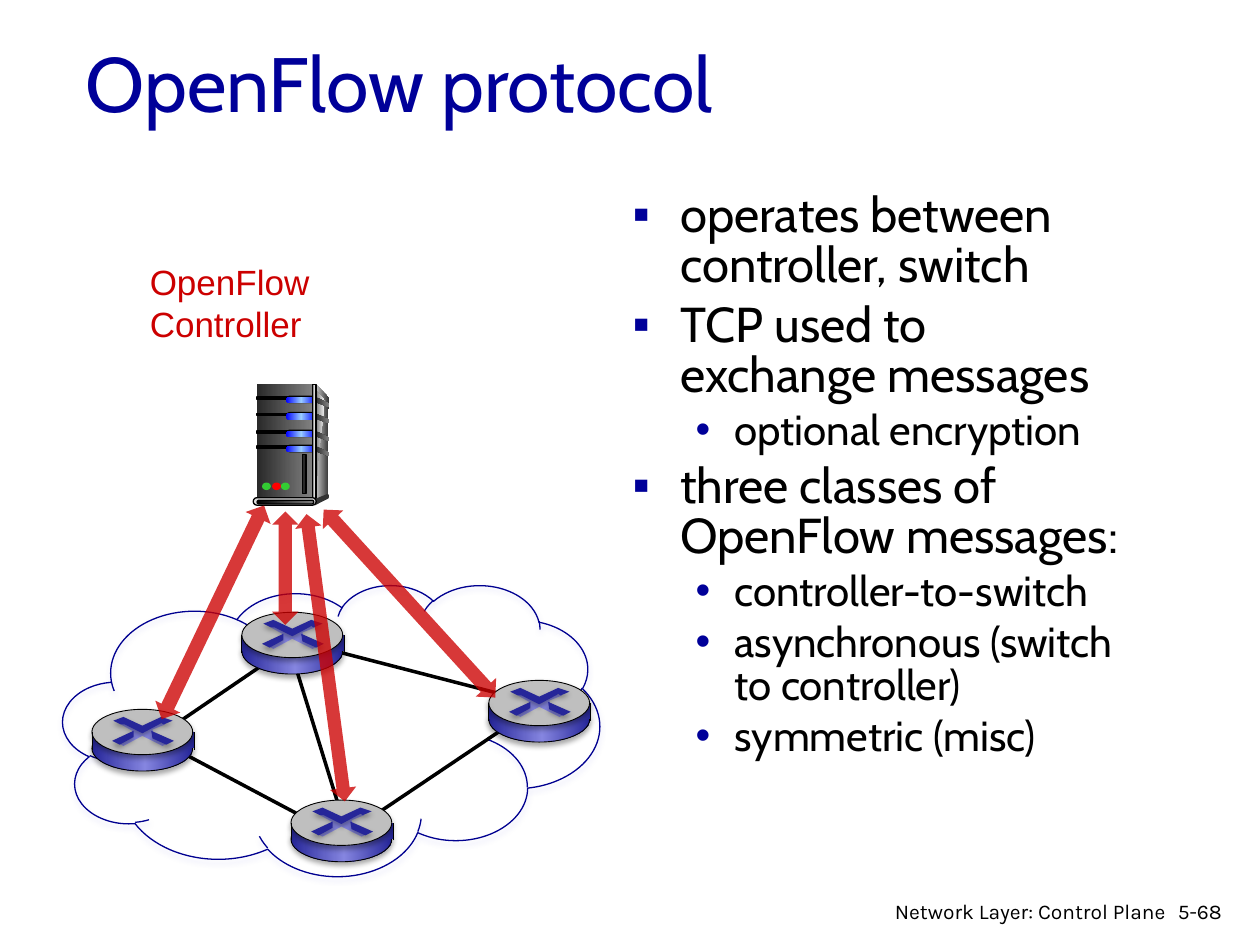
"""Build the OpenFlow protocol slide: a bullet list beside a controller and its network of routers."""
import lxml.etree
import pptx
import pptx.dml.color
import pptx.enum.shapes
import pptx.enum.text
import pptx.oxml.ns
import pptx.util

Inches = pptx.util.Inches
Pt = pptx.util.Pt
qn = pptx.oxml.ns.qn
SHAPE = pptx.enum.shapes.MSO_SHAPE
ALIGN = pptx.enum.text.PP_ALIGN

COLORS = {
    "title": "000099", "black": "000000", "label": "CC0000", "cloud": "000090",
    "cloud_shadow": "A5A5E9", "router": "262699", "router_light": "8585E0", "router_top": "BFBFBF",
    "charcoal": "292929", "dark": "333333", "gray": "808080", "silver": "DDDDDD", "pale": "F8F8F8",
    "blue": "0000FF", "sky": "99CCFF", "green": "33CC33", "red": "FF0000",
}
METAL = [(0, "charcoal"), (100, "gray")]
GLOW = [(0, "blue"), (50, "sky"), (100, "blue")]
ROUTER_SIDE = [(0, "router"), (53, "router_light"), (100, "router")]

presentation = pptx.Presentation()
presentation.slide_width, presentation.slide_height = Inches(10), Inches(7.5)
slide = presentation.slides.add_slide(presentation.slide_layouts[1])


def draw(kind, geometry, fill=None, line=None, width=0.75, shadow=None):
    """Draw a preset shape, a "line" or a "free" outline, with its fill, line and shadow."""
    if kind == "free":
        points = [(Inches(x), Inches(y)) for x, y in geometry]
        builder = slide.shapes.build_freeform(*points[0])
        builder.add_line_segments(points[1:], close=True)
        shape = builder.convert_to_shape()
    elif kind == "line":
        straight = pptx.enum.shapes.MSO_CONNECTOR.STRAIGHT
        shape = slide.shapes.add_connector(straight, *map(Inches, geometry))
    else:
        shape = slide.shapes.add_shape(kind, *map(Inches, geometry))
    properties = shape._element.spPr
    if kind != "line":
        if fill is None:
            shape.fill.background()
        elif isinstance(fill, str):
            shape.fill.solid()
            shape.fill.fore_color.rgb = pptx.dml.color.RGBColor.from_string(COLORS[fill])
        else:
            shape.fill.gradient()
            shape.fill.gradient_angle = 0
            stops = properties.find(qn("a:gradFill")).find(qn("a:gsLst"))
            for stop in list(stops):
                stops.remove(stop)
            for position, color in fill:
                stop = lxml.etree.SubElement(stops, qn("a:gs"), pos=str(position * 1000))
                lxml.etree.SubElement(stop, qn("a:srgbClr"), val=COLORS[color])
    if line:
        shape.line.color.rgb = pptx.dml.color.RGBColor.from_string(COLORS[line])
        shape.line.width = Pt(width)
    else:
        shape.line.fill.background()
    effects = lxml.etree.SubElement(properties, qn("a:effectLst"))
    if shadow:
        outer = lxml.etree.SubElement(
            effects, qn("a:outerShdw"), blurRad=str(Pt(3.1)), dist=str(Pt(1.8)),
            dir="5400000", rotWithShape="0")
        color = lxml.etree.SubElement(outer, qn("a:srgbClr"), val=COLORS[shadow])
        lxml.etree.SubElement(color, qn("a:alpha"), val="35000")
    return shape


def write(paragraph, text, size, font, color):
    """Add one formatted run to a paragraph."""
    run = paragraph.add_run()
    run.text = text
    run.font.size = Pt(size)
    run.font.name = font
    run.font.color.rgb = pptx.dml.color.RGBColor.from_string(COLORS[color])


title = slide.shapes.title
body = slide.placeholders[1]
for placeholder, box in [(title, (0.58, 0.02, 8.5, 1.25)), (body, (4.92, 1.48, 4.17, 5.08))]:
    placeholder.left, placeholder.top, placeholder.width, placeholder.height = map(Inches, box)
    placeholder.text_frame.auto_size = pptx.enum.text.MSO_AUTO_SIZE.NONE
title.text_frame.vertical_anchor = pptx.enum.text.MSO_ANCHOR.MIDDLE
title.text_frame.paragraphs[0].alignment = ALIGN.LEFT
write(title.text_frame.paragraphs[0], "OpenFlow protocol", 44, "Cabin", "title")

LEVELS = [("▪", 28, 0.38, 0.38), ("•", 24, 0.81, 0.31)]
items = [
    (0, "operates between controller, switch"),
    (0, "TCP used to exchange messages"),
    (1, "optional encryption"),
    (0, "three classes of OpenFlow messages:"),
    (1, "controller-to-switch"),
    (1, "asynchronous (switch to controller)"),
    (1, "symmetric (misc)"),
]
for index, (level, text) in enumerate(items):
    bullet, size, margin, hanging = LEVELS[level]
    paragraph = body.text_frame.add_paragraph() if index else body.text_frame.paragraphs[0]
    paragraph.level = level
    settings = paragraph._p.get_or_add_pPr()
    settings.set("marL", str(Inches(margin)))
    settings.set("indent", str(-Inches(hanging)))
    bullet_color = lxml.etree.SubElement(settings, qn("a:buClr"))
    lxml.etree.SubElement(bullet_color, qn("a:srgbClr"), val=COLORS["title"])
    lxml.etree.SubElement(settings, qn("a:buFont"), typeface="Arial")
    lxml.etree.SubElement(settings, qn("a:buChar"), char=bullet)
    paragraph.line_spacing = 0.85
    paragraph.space_before = Pt(0.2 * size if index else 0)
    write(paragraph, text, size, "Cabin", "black")

draw(SHAPE.CLOUD, (0.5, 4.64, 4.26, 2.31), line="cloud", shadow="cloud_shadow")
for link in [(1.23, 5.86, 2.55, 4.96), (1.23, 5.86, 2.55, 6.56), (2.33, 5.24, 2.68, 6.37),
             (2.63, 5.16, 4.06, 5.53), (2.84, 6.56, 4.06, 5.74)]:
    draw("line", link, line="black", width=2)

server_side = [(2.51, 3.05), (2.61, 3.16), (2.6, 3.93), (2.49, 3.97)]
side_highlight = [(2.51, 3.1), (2.58, 3.18), (2.52, 3.69), (2.51, 3.94)]
server_foot = [(2.5, 3.96), (2.5, 4.01), (2.6, 3.96), (2.6, 3.92)]
draw("free", server_side, [(0, "silver"), (100, "dark")])
draw(SHAPE.RECTANGLE, (2.04, 3.05, 0.44, 0.92), METAL)
draw("free", side_highlight, [(0, "gray"), (100, "pale")])
for top in (3.15, 3.28, 3.42, 3.54):
    draw("free", [(2.5, top), (2.61, top + 0.05), (2.61, top + 0.08), (2.5, top + 0.04)], METAL)
    draw(SHAPE.RECTANGLE, (2.04, top, 0.25, 0.02), "black", "black")
    for box, fill in [((2.27, top - 0.01, 0.24, 0.06), "black"), ((2.27, top, 0.24, 0.05), GLOW)]:
        draw(SHAPE.ROUNDED_RECTANGLE, box, fill).adjustments[0] = 0.5
draw(SHAPE.RECTANGLE, (2.48, 3.05, 0.03, 0.92),
     [(0, "dark"), (50, "silver"), (100, "dark")], "black")
draw(SHAPE.OVAL, (2.59, 3.92, 0.02, 0.04), "dark")
draw("free", server_foot, "dark")
for box, fill in [((2.01, 3.95, 0.5, 0.06), "silver"),
                  ((2.04, 3.97, 0.45, 0.03), [(0, "black"), (100, "gray")])]:
    draw(SHAPE.ROUNDED_RECTANGLE, box, fill, "black").adjustments[0] = 0.5
for left, color in [(2.08, "green"), (2.16, "red"), (2.23, "green")]:
    draw(SHAPE.OVAL, (left, 3.83, 0.07, 0.06), color)
draw(SHAPE.RECTANGLE, (2.4, 3.61, 0.03, 0.31), "charcoal", "black")

label = slide.shapes.add_textbox(*map(Inches, (1.09, 2.02, 2.69, 0.77)))
label.text_frame.word_wrap = False
paragraph = label.text_frame.paragraphs[0]
write(paragraph, "OpenFlow", 20, "Arial", "label")
paragraph.add_line_break()
write(paragraph, "Controller", 20, "Arial", "label")

cross = [(0.4, 0.21), (0.25, 0.29), (0.21, 0.27), (0.33, 0.22), (0.32, 0.17), (0.23, 0.12),
         (0.26, 0.11), (0.4, 0.17), (0.54, 0.11), (0.58, 0.12), (0.48, 0.16), (0.5, 0.23),
         (0.6, 0.27), (0.56, 0.29)]
upper_arms = [(0.17, 0.09), (0.25, 0.06), (0.4, 0.13), (0.55, 0.06), (0.64, 0.09),
              (0.57, 0.12), (0.55, 0.11), (0.4, 0.19), (0.26, 0.12), (0.23, 0.12)]
right_arm = [(0.47, 0.17), (0.65, 0.25), (0.59, 0.28), (0.48, 0.23)]
left_arm = [(0.33, 0.17), (0.33, 0.22), (0.22, 0.28), (0.16, 0.25)]
for left, top in [(2.31, 6.35), (3.88, 5.4), (0.73, 5.63), (1.92, 4.86)]:
    draw(SHAPE.OVAL, (left, top + 0.13, 0.8, 0.36), ROUTER_SIDE, "black", 0.5, "black")
    draw(SHAPE.RECTANGLE, (left, top + 0.18, 0.81, 0.13), ROUTER_SIDE)
    draw(SHAPE.OVAL, (left, top, 0.8, 0.36), "router_top", "black", 0.5, "black")
    for points, fill, shadow in [(cross, "router_light", None), (upper_arms, "router", "black"),
                                 (right_arm, "router", "black"), (left_arm, "router", "black")]:
        draw("free", [(left + x, top + y) for x, y in points], fill, shadow=shadow)
    for x in (left, left + 0.81):
        draw("line", (x, top + 0.32, x, top + 0.18), line="black", width=0.5, shadow="black")

for box, rotation in [((2.48, 4.07, 0.21, 2.3), 352.4), ((2.16, 4.06, 0.21, 0.9), 0),
                      ((3.14, 3.78, 0.22, 2.02), 317.6), ((1.58, 3.92, 0.22, 1.88), 25.6)]:
    arrow = draw(SHAPE.UP_DOWN_ARROW, box, "label")
    arrow.rotation = rotation
    arrow_color = arrow._element.spPr.find(qn("a:solidFill")).find(qn("a:srgbClr"))
    lxml.etree.SubElement(arrow_color, qn("a:alpha"), val="78000")

for box, text, alignment in [
        ((9.25, 7.08, 0.6, 0.3), "5-68", ALIGN.LEFT),
        ((6.97, 7.08, 2.38, 0.26), "Network Layer: Control Plane", ALIGN.RIGHT)]:
    footer = slide.shapes.add_textbox(*map(Inches, box))
    footer.text_frame.word_wrap = True
    footer.text_frame.paragraphs[0].alignment = alignment
    write(footer.text_frame.paragraphs[0], text, 12, "Karla", "black")

presentation.save("out.pptx")
